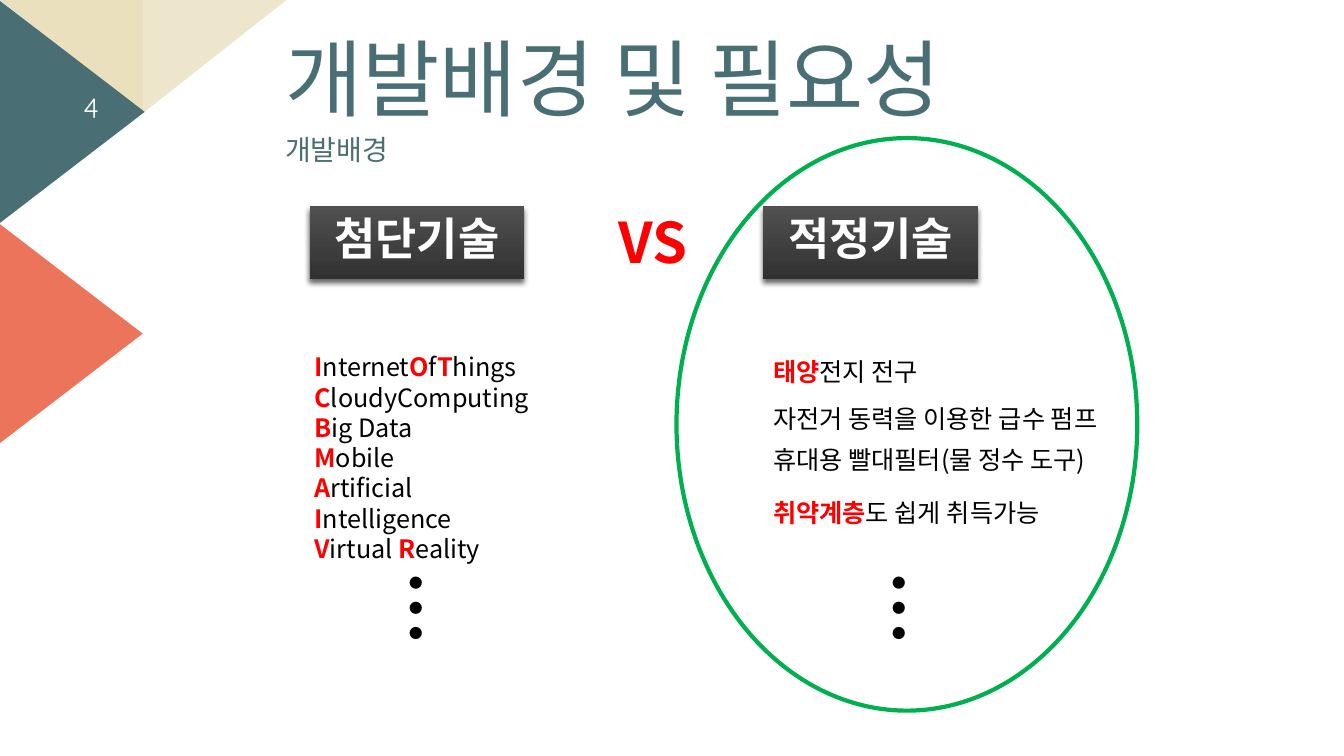
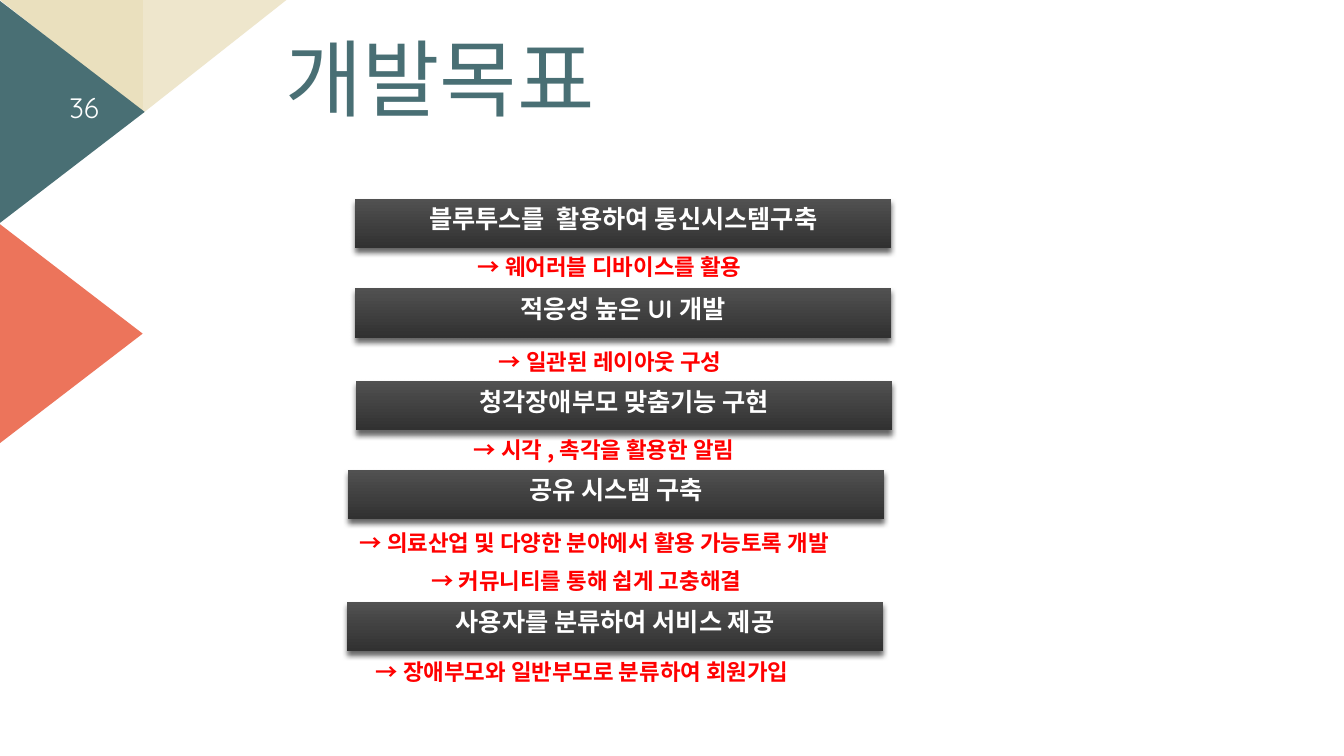
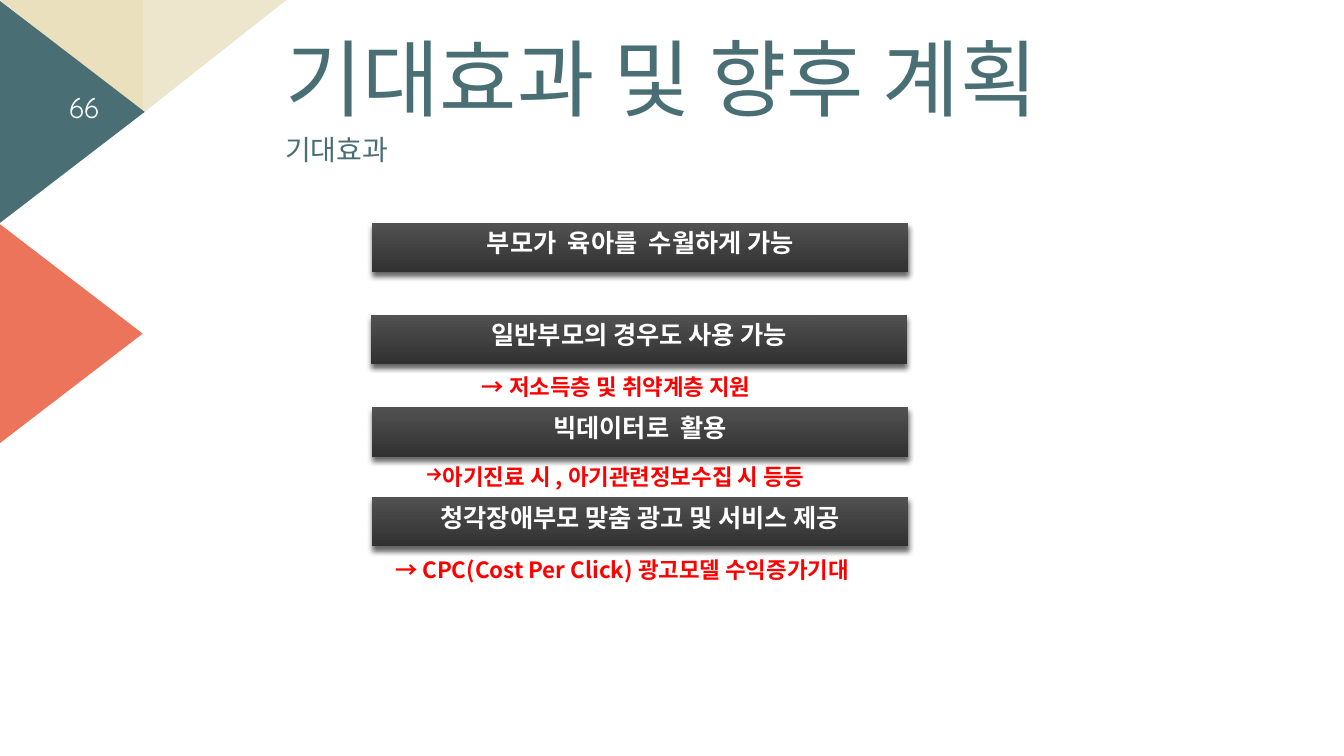
import lxml.etree
import pptx
import pptx.dml.color
import pptx.enum.shapes
import pptx.enum.text
import pptx.oxml.ns
import pptx.util

PX = 9144  # EMU per px, 100 px to the inch
SIZE = (1333, 750)
KOREAN, LATIN = "Noto Sans CJK KR", "Quicksand"
COLORS = {
    "teal": "496F74", "coral": "EC745B", "sand": "EAE0BE", "cream": "EEE6CC",
    "red": "FF0000", "black": "000000", "green": "00B050", "white": "FFFFFF",
    "number": "FEFFFF", "bar_top": "515151", "bar_bottom": "313131",
}
FORMATS = {
    "title": {"name": KOREAN, "size": 60, "color": "teal"},
    "subtitle": {"name": KOREAN, "size": 20, "color": "teal"},
    "number": {"name": LATIN, "size": 20, "color": "number"},
    "heading": {"name": LATIN, "size": 32, "color": "white", "bold": True},
    "bar": {"name": LATIN, "size": 18, "color": "white", "bold": True},
    "note": {"name": KOREAN, "size": 16, "color": "red", "bold": True},
    "versus": {"name": KOREAN, "size": 40, "color": "red", "bold": True},
    "body": {"name": KOREAN, "size": 18, "color": "black", "bold": False},
    "strong": {"name": KOREAN, "size": 18, "color": "red", "bold": True},
    "dots": {"name": KOREAN, "size": 54, "color": "black", "bold": True},
}
SHAPES = pptx.enum.shapes.MSO_SHAPE
ALIGN = pptx.enum.text.PP_ALIGN
qn = pptx.oxml.ns.qn

# preset, frame, rotation, mirrored, colour
CORNER = [
    (SHAPES.RIGHT_TRIANGLE, (0, 0, 142, 112), 180, False, "sand"),
    (SHAPES.RIGHT_TRIANGLE, (142, 0, 142, 112), 180, True, "cream"),
    (SHAPES.ISOSCELES_TRIANGLE, (-39, 39, 221, 144), 90, False, "teal"),
    (SHAPES.ISOSCELES_TRIANGLE, (-41, 259, 221, 144), 90, False, "coral"),
]
TITLE, SUBTITLE, NUMBER = (273, 33, 884, 129), (273, 130, 346, 62), (44, 86, 64, 40)
HEADING_SIZE, BAR_SIZE, DOTS_SIZE = (213, 73), (532, 49), (111, 112)
NOTE_HEIGHT = 37

# Letters between asterisks are emphasised
COMPARISON = {
    "title": "개발배경 및 필요성", "subtitle": "개발배경", "number": "4",
    "versus": ("VS", (604, 201, 89, 77)),
    "circle": (671, 137, 457, 568),
    "columns": [
        {"heading": ("첨단기술", (307, 204)), "dots": (353, 556),
         "texts": [((302, 344, 250, 192), [
             "*I*nternet*O*f*T*hings", "*C*loudyComputing", "*B*ig Data", "*M*obile",
             "*A*rtificial *I*ntelligence", "*V*irtual *R*eality"])]},
        {"heading": ("적정기술", (757, 204)), "dots": (832, 556),
         "texts": [
             ((757, 349, 439, 40), ["*태양*전지 전구"]),
             ((757, 395, 439, 40), ["자전거 동력을 이용한 급수 펌프"]),
             ((757, 436, 439, 40), ["휴대용 빨대필터(물 정수 도구)"]),
             ((757, 488, 439, 40), ["*취약계층*도 쉽게 취득가능"])]},
    ],
}
# bars: text, left, top; notes: text, left, top, width
LISTS = [
    {"title": "개발목표", "subtitle": None, "number": "36",
     "bars": [
         ("블루투스를  활용하여 통신시스템구축", 352, 197),
         ("적응성 높은 UI 개발", 352, 286),
         ("청각장애부모 맞춤기능 구현", 353, 378),
         ("공유 시스템 구축", 345, 466),
         ("사용자를 분류하여 서비스 제공", 344, 597)],
     "notes": [
         ("→ 웨어러블 디바이스를 활용", 464, 246, 313),
         ("→ 일관된 레이아웃 구성", 485, 340, 268),
         ("→ 시각 , 촉각을 활용한 알림", 460, 428, 320),
         ("→ 의료산업 및 다양한 분야에서 활용 가능토록 개발", 347, 520, 546),
         ("→ 커뮤니티를 통해 쉽게 고충해결", 418, 558, 365),
         ("→ 장애부모와 일반부모로 분류하여 회원가입", 363, 648, 478)]},
    {"title": "기대효과 및 향후 계획", "subtitle": "기대효과", "number": "66",
     "bars": [
         ("부모가  육아를  수월하게 가능", 369, 221),
         ("일반부모의 경우도 사용 가능", 368, 312),
         ("빅데이터로  활용", 369, 404),
         ("청각장애부모 맞춤 광고 및 서비스 제공", 369, 493)],
     "notes": [
         ("→ 저소득층 및 취약계층 지원", 468, 365, 320),
         ("아기진료 시 , 아기관련정보수집 시 등등", 412, 455, 447),
         ("→ CPC(Cost Per Click) 광고모델 수익증가기대", 382, 547, 504)]},
]


def emu(frame):
    return [value * PX for value in frame]


def rgb(name):
    return pptx.dml.color.RGBColor.from_string(COLORS[name])


def add_span(para, text, style):
    span = para.add_run()
    span.text = text
    for key, value in FORMATS[style].items():
        if key == "color":
            span.font.color.rgb = rgb(value)
        else:
            setattr(span.font, key, pptx.util.Pt(value) if key == "size" else value)
    latin = span.font._element.find(qn("a:latin"))
    east_asian = lxml.etree.Element(qn("a:ea"), typeface=KOREAN)
    latin.addnext(east_asian)


def write(box, lines, style, **settings):
    """Fill a box with one paragraph per line; settings apply to every paragraph."""
    box.text_frame.word_wrap = True
    for index, line in enumerate(lines):
        para = box.text_frame.paragraphs[0] if index == 0 else box.text_frame.add_paragraph()
        for name, value in settings.items():
            setattr(para, name, value)
        for position, part in enumerate(line.split("*")):
            if part:
                add_span(para, part, "strong" if position % 2 else style)


def add_text(page, frame, lines, style, **settings):
    box = page.shapes.add_textbox(*emu(frame))
    write(box, lines, style, **settings)
    return box


def add_bar(page, text, corner, size, style):
    """Dark gradient bar with a soft shadow below it."""
    bar = page.shapes.add_shape(SHAPES.RECTANGLE, *emu(corner + size))
    bar.line.fill.background()
    bar.fill.gradient()
    bar.fill.gradient_angle = 270
    for stop, name in zip(bar.fill.gradient_stops, ("bar_top", "bar_bottom")):
        stop.color.rgb = rgb(name)
    bar.shadow.inherit = False
    effects = bar.element.spPr.find(qn("a:effectLst"))
    shadow = lxml.etree.SubElement(effects, qn("a:outerShdw"), blurRad="50800",
                                   dist="38100", dir="5400000", rotWithShape="0")
    color = lxml.etree.SubElement(shadow, qn("a:srgbClr"), val=COLORS["black"])
    lxml.etree.SubElement(color, qn("a:alpha"), val="60000")
    bar.text_frame.vertical_anchor = pptx.enum.text.MSO_ANCHOR.TOP
    write(bar, [text], style, alignment=ALIGN.CENTER)


def add_note(page, text, left, top, width):
    """Red remark; one without a typed arrow gets the arrow as its bullet."""
    box = page.shapes.add_textbox(*emu((left, top, width, NOTE_HEIGHT)))
    if not text.startswith("→"):
        properties = box.text_frame.paragraphs[0]._p.get_or_add_pPr()
        lxml.etree.SubElement(properties, qn("a:buChar"), char="→")
    write(box, [text], "note")


def move_corner_to_layout(page, layout):
    """Draw the corner triangles once, on the layout that all slides use."""
    for placeholder in list(layout.placeholders):
        layout.shapes.element.remove(placeholder.element)
    for preset, frame, rotation, mirrored, color in CORNER:
        triangle = page.shapes.add_shape(preset, *emu(frame))
        triangle.rotation = rotation
        triangle.shadow.inherit = False
        triangle.fill.solid()
        triangle.fill.fore_color.rgb = rgb(color)
        triangle.line.fill.background()
        if mirrored:
            triangle.element.spPr.find(qn("a:xfrm")).set("flipH", "1")
        layout.shapes.element.append(triangle.element)


def add_page(deck, layout, content):
    page = deck.slides.add_slide(layout)
    add_text(page, TITLE, [content["title"]], "title", line_spacing=0.9)
    if content["subtitle"]:
        add_text(page, SUBTITLE, [content["subtitle"]], "subtitle", line_spacing=0.9)
    number = add_text(page, NUMBER, [content["number"]], "number", alignment=ALIGN.RIGHT)
    number.text_frame.vertical_anchor = pptx.enum.text.MSO_ANCHOR.MIDDLE
    return page


def fill_comparison(page, content):
    text, frame = content["versus"]
    add_text(page, frame, [text], "versus")
    for column in content["columns"]:
        heading, corner = column["heading"]
        add_bar(page, heading, corner, HEADING_SIZE, "heading")
        for frame, lines in column["texts"]:
            add_text(page, frame, lines, "body")
        dots = add_text(page, column["dots"] + DOTS_SIZE, ["…"], "dots")
        dots.text_frame._txBody.bodyPr.set("vert", "eaVert")
    circle = page.shapes.add_shape(SHAPES.OVAL, *emu(content["circle"]))
    circle.shadow.inherit = False
    circle.fill.background()
    circle.line.color.rgb = rgb("green")
    circle.line.width = pptx.util.Pt(3)


def main():
    deck = pptx.Presentation()
    deck.slide_width, deck.slide_height = emu(SIZE)
    layout = deck.slide_layouts[6]
    page = add_page(deck, layout, COMPARISON)
    move_corner_to_layout(page, layout)
    fill_comparison(page, COMPARISON)
    for content in LISTS:
        page = add_page(deck, layout, content)
        for text, left, top in content["bars"]:
            add_bar(page, text, (left, top), BAR_SIZE, "bar")
        for note in content["notes"]:
            add_note(page, *note)
    deck.save("out.pptx")


if __name__ == "__main__":
    main()
